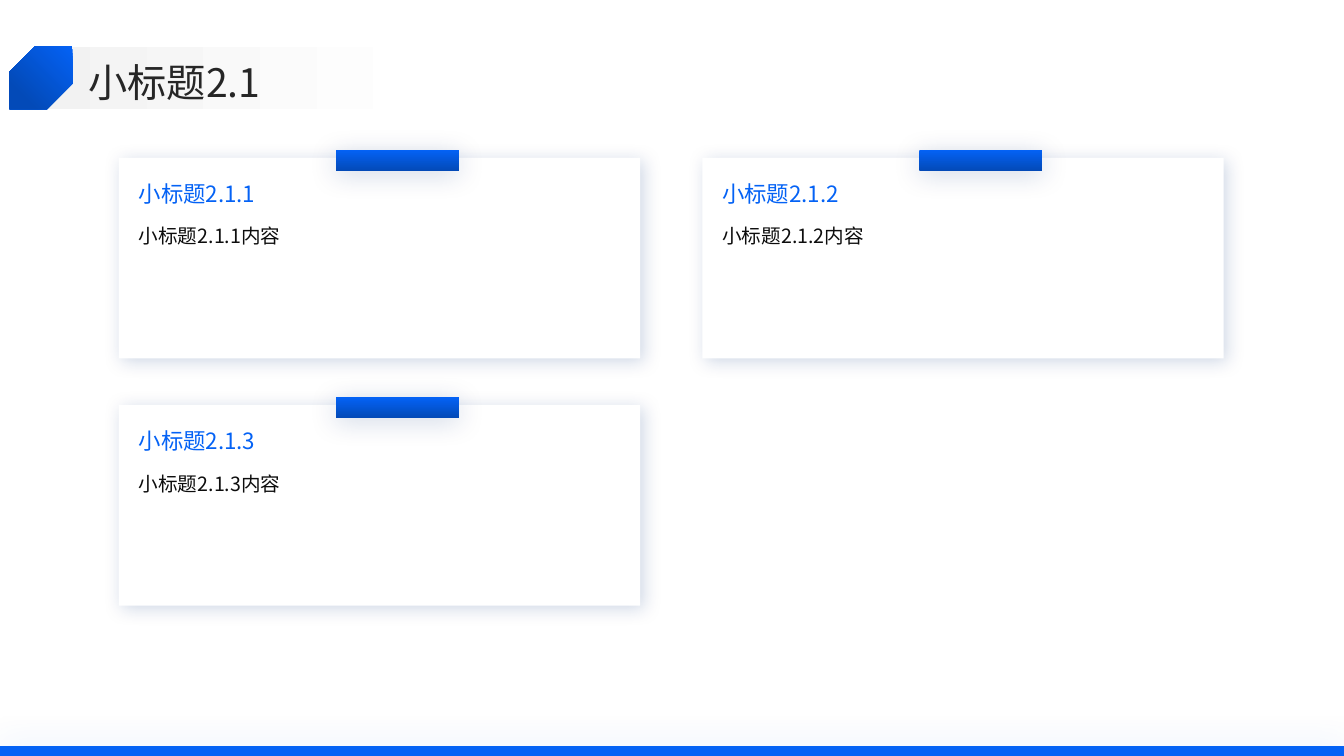
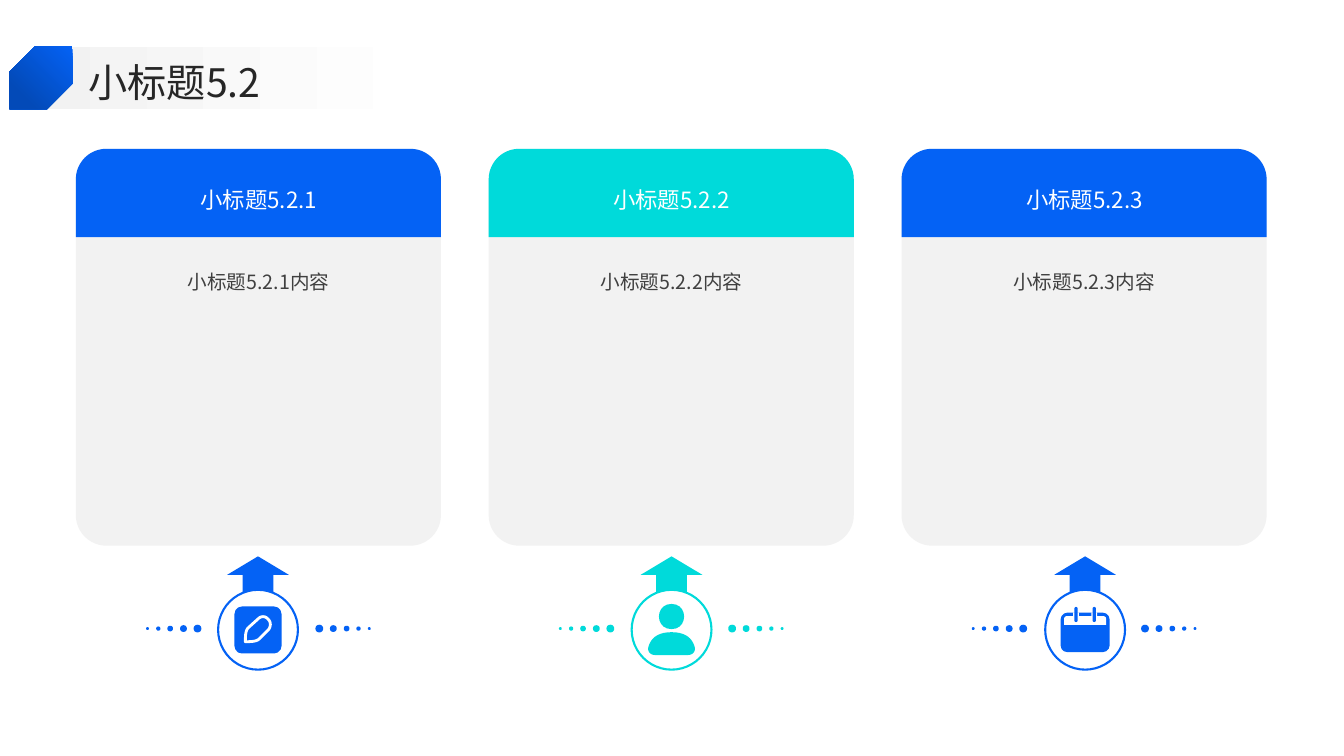
import pptx
import pptx.util
import pptx.dml.color
import pptx.enum.shapes
import pptx.enum.text
import pptx.oxml
import pptx.oxml.ns

Pt = pptx.util.Pt
MSO = pptx.enum.shapes.MSO_SHAPE
ALIGN = pptx.enum.text.PP_ALIGN
ANCHOR = pptx.enum.text.MSO_ANCHOR
qn = pptx.oxml.ns.qn

FONT = "Noto Sans CJK SC"
COLORS = {
    "blue": "0462F5", "navy": "034AB8", "cyan": "00DADA", "shade": "02317B",
    "white": "FFFFFF", "panel": "F2F2F2", "title": "262626",
    "body": "0D0D0D", "grey": "404040",
}


def rgb(name):
    return pptx.dml.color.RGBColor.from_string(COLORS[name])


def write_text(tf, text, size=14, color="body", align=ALIGN.LEFT, spacing=1.0):
    p = tf.paragraphs[0]
    p.alignment = align
    p.line_spacing = spacing
    r = p.add_run()
    r.text = text
    r.font.size = Pt(size)
    r.font.name = FONT
    r.font.color.rgb = rgb(color)
    ea = r.font._element.makeelement(qn("a:ea"), {"typeface": FONT})
    r.font._element.append(ea)


def trace(start, *segments, steps=10):
    """Points of an outline: a pair is a line, six numbers are a cubic curve."""
    points = [start]
    for seg in segments:
        if len(seg) == 2:
            points.append(seg)
            continue
        x0, y0 = points[-1]
        x1, y1, x2, y2, x3, y3 = seg
        for n in range(1, steps + 1):
            t = n / steps
            u = 1 - t
            a, b, c, d = u ** 3, 3 * u * u * t, 3 * u * t * t, t ** 3
            points.append((a * x0 + b * x1 + c * x2 + d * x3,
                           a * y0 + b * y1 + c * y2 + d * y3))
    return points


def dot(x, rad):
    """Outline of a round dot centred at x on the axis."""
    k = rad * 4 / 3
    return trace((x, -rad), (x + k, -rad, x + k, rad, x, rad),
                 (x - k, rad, x - k, -rad, x, -rad))


class Deck:
    def __init__(self):
        self.prs = pptx.Presentation()
        self.prs.slide_width, self.prs.slide_height = Pt(960), Pt(540)
        self.s = None

    def slide(self):
        self.s = self.prs.slides.add_slide(self.prs.slide_layouts[6])

    def style(self, sp, fill, line, width):
        sp.shadow.inherit = False
        if fill is None:
            sp.fill.background()
        elif isinstance(fill, tuple):
            start, end, stop, angle = fill
            sp.fill.gradient()
            sp.fill.gradient_angle = 360 - angle
            for gs, name, pos in zip(sp.fill.gradient_stops, (start, end), (0, stop)):
                gs.color.rgb = rgb(name)
                gs.position = pos
        else:
            sp.fill.solid()
            sp.fill.fore_color.rgb = rgb(fill)
        if line is None:
            sp.line.fill.background()
        else:
            sp.line.color.rgb = rgb(line)
            sp.line.width = Pt(width)

    def shape(self, kind, x, y, w, h, fill=None, line=None, width=1.5, adj=()):
        sp = self.s.shapes.add_shape(kind, Pt(x), Pt(y), Pt(w), Pt(h))
        for i, value in enumerate(adj):
            sp.adjustments[i] = value
        self.style(sp, fill, line, width)
        return sp

    def outline(self, cx, cy, *contours, fill=None, line=None, width=2):
        fb = None
        for contour in contours:
            points = [(Pt(cx + x), Pt(cy + y)) for x, y in contour]
            if fb is None:
                fb = self.s.shapes.build_freeform(*points[0])
            else:
                fb.move_to(*points[0])
            fb.add_line_segments(points[1:], close=True)
        self.style(fb.convert_to_shape(), fill, line, width)

    def shadow(self, sp, color, alpha, blur, dist, angle):
        effects = sp._element.spPr.find(qn("a:effectLst"))
        effects.append(pptx.oxml.parse_xml(
            '<a:outerShdw xmlns:a="http://schemas.openxmlformats.org/drawingml/2006/main" '
            f'blurRad="{Pt(blur)}" dist="{Pt(dist)}" dir="{angle * 60000}" algn="ctr" '
            f'rotWithShape="0"><a:srgbClr val="{COLORS[color]}">'
            f'<a:alpha val="{alpha * 1000}"/></a:srgbClr></a:outerShdw>'))

    def text(self, x, y, w, h, text, pad=0, anchor=ANCHOR.TOP, **fmt):
        tf = self.s.shapes.add_textbox(Pt(x), Pt(y), Pt(w), Pt(h)).text_frame
        tf.word_wrap = True
        tf.vertical_anchor = anchor
        tf.margin_left = tf.margin_right = 0
        tf.margin_top = tf.margin_bottom = Pt(pad)
        write_text(tf, text, **fmt)

    def header(self, text):
        self.shape(MSO.RECTANGLE, 24, 33.4, 354, 44.6, ("panel", "white", 0.8, 0))
        self.text(63.3, 38.4, 855, 36.5, text, anchor=ANCHOR.MIDDLE,
                  size=28, color="title", spacing=1.1)
        sp = self.shape(MSO.SNIP_2_DIAG_RECTANGLE, 6.9, 33, 45, 45,
                        ("blue", "navy", 0.8, 45), adj=(0, 0.408))
        sp._element.spPr.find(qn("a:xfrm")).set("flipH", "1")

    def card(self, x, y, title):
        sp = self.shape(MSO.RECTANGLE, x, y, 372.4, 143.3, "white")
        self.shadow(sp, "shade", 19, 13, 3, 45)
        sp = self.shape(MSO.RECTANGLE, x + 155, y - 5.6, 88, 14.6,
                        ("blue", "navy", 1, 90))
        self.shadow(sp, "shade", 19, 20, 3, 90)
        self.text(x + 14.2, y + 16, 328, 26, title, size=16, color="blue")
        self.text(x + 14.2, y + 39, 328, 95, title + "内容", spacing=1.5)

    def column(self, x, title, color):
        self.shape(MSO.ROUNDED_RECTANGLE, x, 106.3, 260.8, 283.5, "panel", adj=(0.084,))
        self.shape(MSO.ROUND_2_SAME_RECTANGLE, x, 106.3, 260.8, 63, color, adj=(0.345, 0))
        self.text(x + 10.5, 181.1, 240, 156, title + "内容", pad=3.6,
                  color="grey", align=ALIGN.CENTER, spacing=1.5)
        self.text(x + 10.2, 114.8, 241, 50, title, pad=3.6, anchor=ANCHOR.MIDDLE,
                  size=16, color="white", align=ALIGN.CENTER, spacing=1.3)

    def dots(self, cx, cy, color):
        # Dots shrink away from the ring on both sides
        sizes = ((43.5, 2.75), (53.5, 2.4), (63, 2), (71.5, 1.5), (79.2, 1))
        for side in (-1, 1):
            self.outline(cx, cy, *(dot(side * dist, rad) for dist, rad in sizes),
                         fill=color)

    def badge(self, cx, cy, color):
        self.shape(MSO.OVAL, cx - 28.5, cy - 28.5, 57, 57, line=color)
        # Arrow up to the column
        self.outline(cx, cy, trace(
            (0, -52.4), (22, -39.2), (11, -39.2), (11, -26.3),
            (4, -29.3, -4, -29.3, -11, -26.3),
            (-11, -39.2), (-22, -39.2)), fill=color)

    def pencil(self, cx, cy, color):
        self.shape(MSO.ROUNDED_RECTANGLE, cx - 16.8, cy - 16.6, 33.6, 33.6, color, adj=(0.16,))
        self.outline(cx, cy, trace(
            (0, -7.6), (-7.2, -1.1), (-9, 1.1, -9, 5.4, -9, 8.6),
            (-5.8, 8.6, -1.4, 8.6, 0.7, 6.8), (7.2, 0.4),
            (9.4, -2.2, 9.4, -5.4, 7.2, -7.6),
            (5, -9.9, 2.2, -9.9, 0, -7.6)), line="white")

    def person(self, cx, cy, color):
        head = [(x, y - 9.4) for x, y in dot(0, 9)]
        body = trace(
            (0, 1.8), (10.8, 1.8, 15.1, 6.8, 16.6, 12.6),
            (17.3, 15.5, 15.1, 18.1, 11.7, 18.1), (-11.7, 18.1),
            (-15.1, 18.1, -17.3, 15.5, -16.6, 12.6),
            (-15.1, 6.8, -10.8, 1.8, 0, 1.8))
        self.outline(cx, cy, body, head, fill=color)

    def calendar(self, cx, cy, color):
        self.shape(MSO.ROUNDED_RECTANGLE, cx - 17.5, cy - 12.2, 35, 28.2, color, adj=(0.17,))
        self.shape(MSO.ROUND_2_SAME_RECTANGLE, cx - 15, cy - 9.7, 30, 6.3, "white",
                   adj=(0.3, 0))
        for x in (cx - 6.5, cx + 6.5):
            self.shape(MSO.RECTANGLE, x - 2, cy - 12.4, 4, 3, "white")
            self.shape(MSO.ROUNDED_RECTANGLE, x - 1.2, cy - 16.3, 2.4, 10.8, color, adj=(0.5,))


def main():
    d = Deck()

    # Slide 1: three cards on a two-column grid
    d.slide()
    sp = d.shape(MSO.RECTANGLE, 0, 533, 960, 7, "blue")
    d.shadow(sp, "blue", 20, 25, 0, 0)
    for i in range(3):
        d.card(84.9 + 416.8 * (i % 2), 112.8 + 176.6 * (i // 2), f"小标题2.1.{i + 1}")
    d.header("小标题2.1")

    # Slide 2: three columns, each with an icon badge
    d.slide()
    items = (("blue", d.pencil), ("cyan", d.person), ("blue", d.calendar))
    for i, (color, icon) in enumerate(items):
        x = 54.2 + 294.9 * i
        cx = 184.3 + 295.4 * i
        d.column(x, f"小标题5.2.{i + 1}", color)
        d.dots(x + 130.4, 449, color)
        d.badge(cx, 449.8, color)
        icon(cx, 449.8, color)
    d.header("小标题5.2")

    d.prs.save("out.pptx")


if __name__ == "__main__":
    main()
